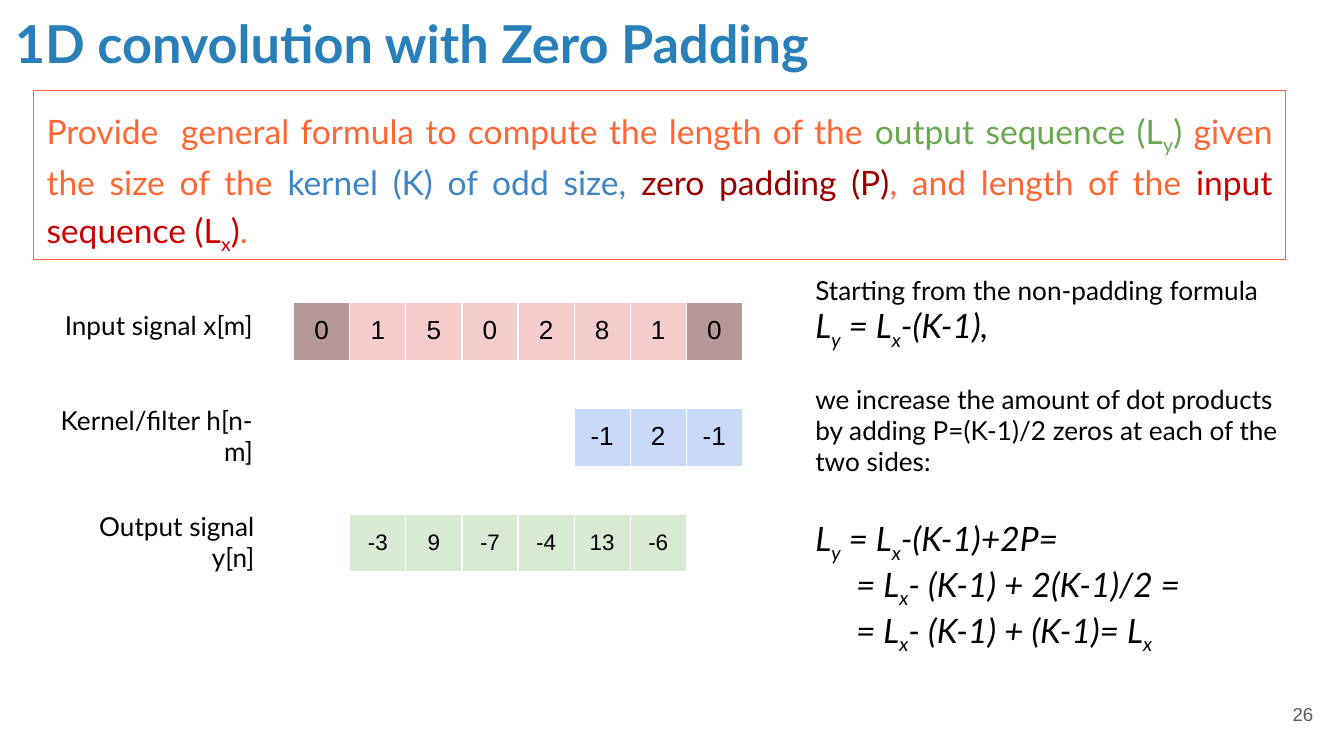
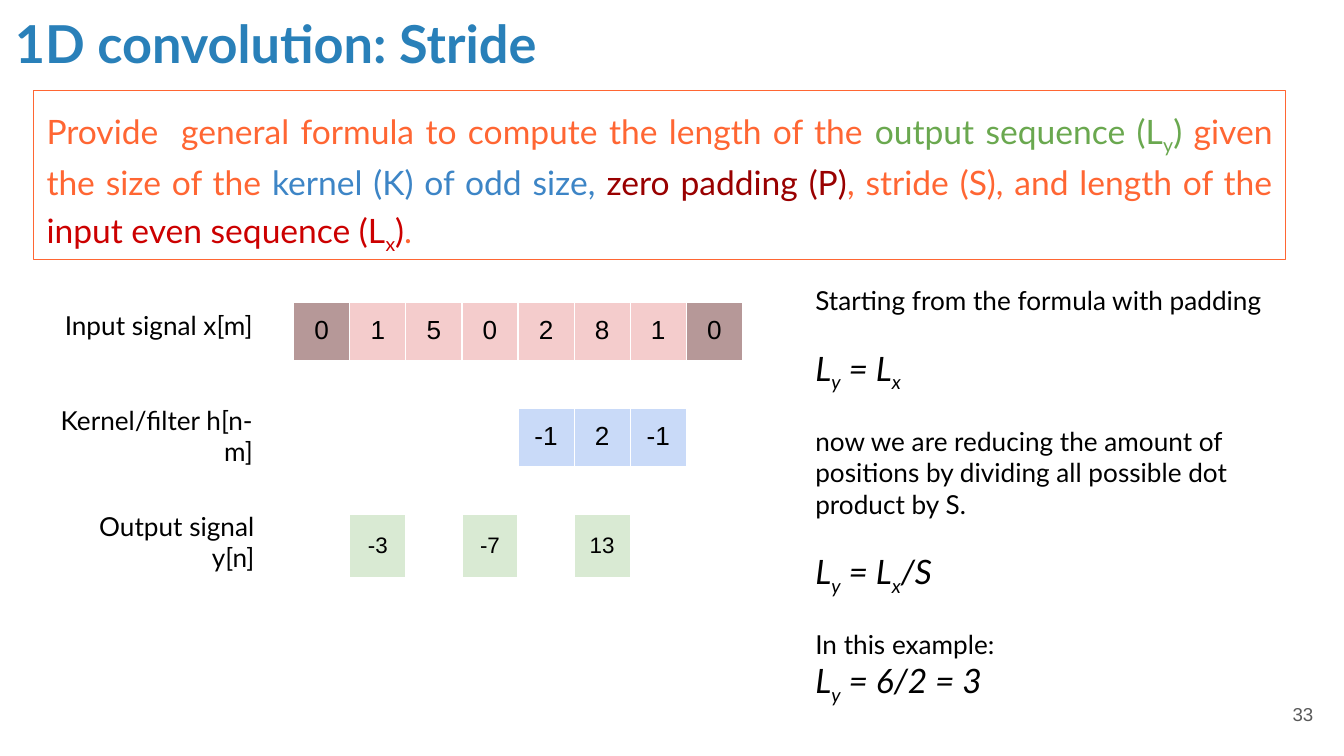
from dataclasses import dataclass

from lxml import etree
from pptx import Presentation
from pptx.dml.color import RGBColor
from pptx.enum.shapes import MSO_SHAPE
from pptx.enum.text import MSO_ANCHOR, PP_ALIGN
from pptx.oxml.ns import qn
from pptx.util import Cm, Pt

LEFT, RIGHT = PP_ALIGN.LEFT, PP_ALIGN.RIGHT
CENTER, JUSTIFY = PP_ALIGN.CENTER, PP_ALIGN.JUSTIFY
TOP, MIDDLE = MSO_ANCHOR.TOP, MSO_ANCHOR.MIDDLE
RECTANGLE = MSO_SHAPE.RECTANGLE
BLANK_LAYOUT = 6


@dataclass(frozen=True)
class Theme:
    text_font: str = "Lato"
    number_font: str = "Arial"
    title_size: int = 28
    formula_size: int = 18
    body_size: int = 14
    output_size: int = 12
    page_size: int = 10
    line_width: float = 0.75
    inset: float = 0.25
    black: str = "000000"
    white: str = "FFFFFF"
    title: str = "2980B9"
    page: str = "595959"
    question: str = "FF6633"
    output: str = "6AA84F"
    kernel: str = "3D85C6"
    padding: str = "990000"
    input: str = "CC0000"
    padding_cell: str = "B69898"
    input_cell: str = "F4CCCC"
    kernel_cell: str = "C9DAF8"
    output_cell: str = "D9EAD3"


@dataclass(frozen=True)
class Line:
    """A line of the derivation; an underscore lowers the next character."""
    text: str
    formula: bool = False
    gap: float = 0
    indent: float = 0


THEME = Theme()

# Signal grid, in centimetres
GRID_LEFT, GRID_TOP = 5.55, 5.72
CELL_SIZE, ROW_HEIGHT, ROW_STEP = 1.06, 1.08, 2.0
TALL_ROW = 1.19
LINE_GAP, FORMULA_GAP = 17, 22
EQUALS_INDENT = 0.77

INPUT_VALUES = [0, 1, 5, 0, 2, 8, 1, 0]
KERNEL_VALUES = [-1, 2, -1]


class Deck:
    def __init__(self, theme):
        self.theme = theme
        self.presentation = Presentation()
        self.presentation.slide_width = Cm(25.4)
        self.presentation.slide_height = Cm(14.29)
        self.slide = None

    def new_slide(self):
        layout = self.presentation.slide_layouts[BLANK_LAYOUT]
        self.slide = self.presentation.slides.add_slide(layout)

    def set_insets(self, target):
        inset = Cm(self.theme.inset)
        target.margin_left = target.margin_right = inset
        target.margin_top = target.margin_bottom = inset

    def style_run(self, run, size, color, font=None, bold=False, italic=False):
        run.font.name = font or self.theme.text_font
        run.font.size = Pt(size)
        run.font.color.rgb = RGBColor.from_string(color)
        run.font.bold = bold
        run.font.italic = italic

    def add_runs(self, paragraph, text, size, color, **style):
        normal, *lowered = text.split("_")
        pieces = [(normal, False)]
        for part in lowered:
            pieces += [(part[0], True), (part[1:], False)]
        for piece, is_subscript in pieces:
            if piece:
                run = paragraph.add_run()
                run.text = piece
                self.style_run(run, size, color, **style)
                if is_subscript:
                    run.font._element.set("baseline", "-25000")

    def text_box(self, box, anchor=TOP):
        shape = self.slide.shapes.add_textbox(*map(Cm, box))
        text_frame = shape.text_frame
        text_frame.word_wrap = True
        text_frame.vertical_anchor = anchor
        self.set_insets(text_frame)
        return text_frame

    def text(self, box, text, size, color, align=LEFT, anchor=TOP, **style):
        text_frame = self.text_box(box, anchor)
        text_frame.text = text
        for paragraph in text_frame.paragraphs:
            paragraph.alignment = align
            for run in paragraph.runs:
                self.style_run(run, size, color, **style)

    def title(self, text):
        self.text((0.03, -0.03, 23.67, 1.6), text, self.theme.title_size,
                  self.theme.title, bold=True)

    def page_number(self, number):
        self.text((23.55, 12.95, 1.52, 1.09), str(number), self.theme.page_size,
                  self.theme.page, RIGHT, MIDDLE, font=self.theme.number_font)

    def question(self, parts):
        box = (0.63, 1.71, 23.67, 3.2)
        shape = self.slide.shapes.add_shape(RECTANGLE, *map(Cm, box))
        shape.shadow.inherit = False
        shape.fill.background()
        shape.line.color.rgb = RGBColor.from_string(self.theme.question)
        shape.line.width = Pt(self.theme.line_width)
        text_frame = shape.text_frame
        text_frame.word_wrap = True
        text_frame.vertical_anchor = TOP
        self.set_insets(text_frame)
        paragraph = text_frame.paragraphs[0]
        paragraph.alignment = JUSTIFY
        paragraph.line_spacing = 1.15
        for text, color in parts:
            self.add_runs(paragraph, text, self.theme.formula_size, color)

    def derivation(self, top, height, lines):
        text_frame = self.text_box((15.16, top, 9.25, height))
        for index, line in enumerate(lines):
            paragraph = (text_frame.add_paragraph() if index
                         else text_frame.paragraphs[0])
            paragraph.alignment = LEFT
            if line.indent:
                paragraph._p.get_or_add_pPr().set("marL", str(Cm(line.indent)))
            if line.gap:
                paragraph.space_before = Pt(line.gap)
            size = (self.theme.formula_size if line.formula
                    else self.theme.body_size)
            self.add_runs(paragraph, line.text, size, self.theme.black,
                          italic=line.formula)

    def cell_borders(self, cell):
        properties = cell._tc.get_or_add_tcPr()
        for side in ("a:lnL", "a:lnR", "a:lnT", "a:lnB"):
            border = etree.SubElement(properties, qn(side),
                                      w=str(Pt(self.theme.line_width)))
            fill = etree.SubElement(border, qn("a:solidFill"))
            etree.SubElement(fill, qn("a:srgbClr"), val=self.theme.white)

    def signal(self, row, column, values, colors, size, anchor=TOP,
               height=ROW_HEIGHT):
        frame = self.slide.shapes.add_table(
            1, len(values), Cm(GRID_LEFT + column * CELL_SIZE),
            Cm(GRID_TOP + row * ROW_STEP), Cm(len(values) * CELL_SIZE),
            Cm(height))
        table = frame.table
        table.first_row = table.horz_banding = False
        for index, (value, color) in enumerate(zip(values, colors)):
            table.columns[index].width = Cm(CELL_SIZE)
            cell = table.cell(0, index)
            self.cell_borders(cell)
            if value is None:
                cell.margin_top = cell.margin_bottom = 0
                cell.fill.background()
                continue
            self.set_insets(cell)
            cell.vertical_anchor = anchor
            cell.fill.solid()
            cell.fill.fore_color.rgb = RGBColor.from_string(color)
            cell.text_frame.text = str(value)
            paragraph = cell.text_frame.paragraphs[0]
            paragraph.alignment = CENTER
            self.style_run(paragraph.runs[0], size, self.theme.black,
                           self.theme.number_font)

    def signals(self, kernel_column, output_values, output_height):
        theme = self.theme
        labels = [(0.86, 5.59, 4.17, "Input signal x[m]"),
                  (0.86, 7.39, 4.17, "Kernel/filter h[n-m]"),
                  (1.3, 9.4, 3.76, "Output signal\ny[n]")]
        for left, top, width, label in labels:
            self.text((left, top, width, 0.94), label, theme.body_size,
                      theme.black, RIGHT)
        inner = [theme.input_cell] * (len(INPUT_VALUES) - 2)
        input_colors = [theme.padding_cell, *inner, theme.padding_cell]
        self.signal(0, 0, INPUT_VALUES, input_colors, theme.body_size)
        self.signal(1, kernel_column, KERNEL_VALUES,
                    [theme.kernel_cell] * len(KERNEL_VALUES), theme.body_size)
        self.signal(2, 1, output_values,
                    [theme.output_cell] * len(output_values),
                    theme.output_size, MIDDLE, output_height)


def question_parts(link, input_name):
    return [
        ("Provide  general formula to compute the length of the ", THEME.question),
        ("output sequence (L_y)", THEME.output),
        (" given the size of the ", THEME.question),
        ("kernel (K) of odd size, ", THEME.kernel),
        ("zero padding (P)", THEME.padding),
        (link, THEME.question),
        (f"{input_name} (L_x)", THEME.input),
        (".", THEME.question),
    ]


def zero_padding_slide(deck):
    deck.new_slide()
    deck.title("1D convolution with Zero Padding")
    deck.question(question_parts(", and length of the ", "input sequence"))
    deck.signals(5, [-3, 9, -7, -4, 13, -6], ROW_HEIGHT)
    deck.derivation(4.93, 9.12, [
        Line("Starting from the non-padding formula"),
        Line("L_y = L_x-(K-1),", formula=True),
        Line("we increase the amount of dot products by adding P=(K-1)/2 "
             "zeros at each of the two sides:", gap=LINE_GAP),
        Line("L_y = L_x-(K-1)+2P=", formula=True, gap=FORMULA_GAP),
        Line("= L_x- (K-1) + 2(K-1)/2 =", formula=True, indent=EQUALS_INDENT),
        Line("= L_x- (K-1) + (K-1)= L_x", formula=True, indent=EQUALS_INDENT),
    ])
    deck.page_number(26)


def stride_slide(deck):
    deck.new_slide()
    deck.title("1D convolution: Stride")
    deck.question(question_parts(", stride (S), and length of the ",
                                 "input even sequence"))
    deck.signals(4, [-3, None, -7, None, 13, None], TALL_ROW)
    deck.derivation(5.13, 8.59, [
        Line("Starting from the formula with padding"),
        Line("L_y = L_x", formula=True, gap=LINE_GAP),
        Line("now we are reducing the amount of positions by dividing all "
             "possible dot product by S.", gap=LINE_GAP),
        Line("L_y = L_x/S", formula=True, gap=LINE_GAP),
        Line("In this example:", gap=LINE_GAP),
        Line("L_y = 6/2 = 3", formula=True),
    ])
    deck.page_number(33)


def main():
    deck = Deck(THEME)
    zero_padding_slide(deck)
    stride_slide(deck)
    deck.presentation.save("out.pptx")


if __name__ == "__main__":
    main()
